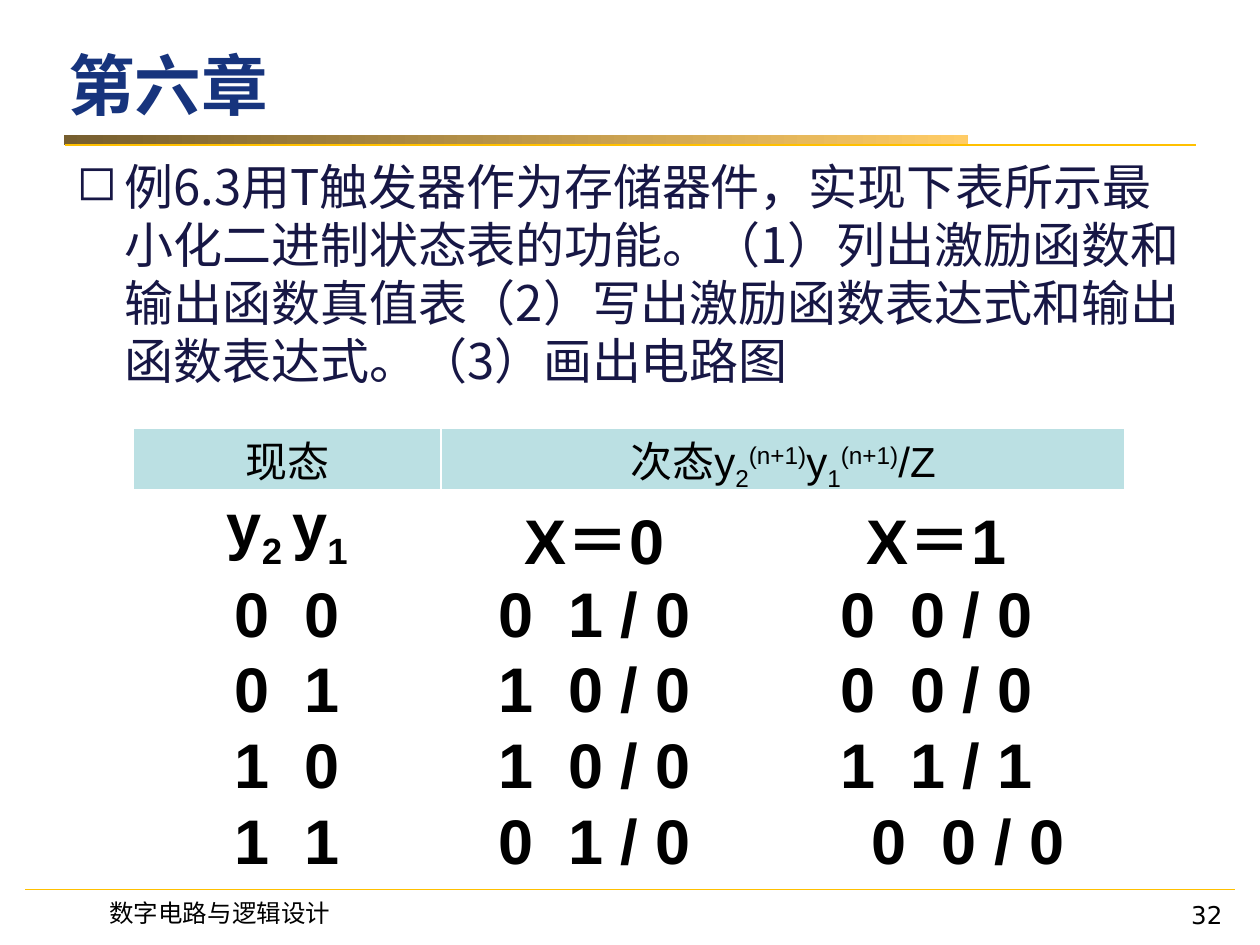
from lxml import etree
from pptx import Presentation
from pptx.dml.color import RGBColor
from pptx.enum.shapes import MSO_CONNECTOR, MSO_SHAPE
from pptx.enum.text import MSO_ANCHOR, PP_ALIGN
from pptx.oxml.ns import qn
from pptx.util import Inches, Pt

LEFT, CENTER, RIGHT = PP_ALIGN.LEFT, PP_ALIGN.CENTER, PP_ALIGN.RIGHT
TOP, MIDDLE = MSO_ANCHOR.TOP, MSO_ANCHOR.MIDDLE
STRAIGHT, RECTANGLE = MSO_CONNECTOR.STRAIGHT, MSO_SHAPE.RECTANGLE

COLORS = {"title": "17347D", "body": "171745", "black": "000000", "rule": "FFC000",
          "bar_dark": "765E2F", "bar_light": "FFCC66", "header": "BBE0E3", "border": "FFFFFF"}
CJK, SANS, ARIAL = "Noto Sans CJK SC", "DejaVu Sans", "Arial"

# Content
TITLE = "第六章"
EXERCISE = ("例6.3用T触发器作为存储器件，实现下表所示最小化二进制状态表的功能。"
            "（1）列出激励函数和输出函数真值表（2）写出激励函数表达式和输出函数表达式。"
            "（3）画出电路图")
FOOTER, PAGE = "数字电路与逻辑设计", "32"
SUB, SUP = -25, 30
# A cell is a plain string, or a list of (text, baseline shift in percent)
STATE_TABLE = [
    ["现态", [("次态y", 0), ("2", SUB), ("(n+1)", SUP), ("y", 0), ("1", SUB),
            ("(n+1)", SUP), ("/Z", 0)], ""],
    [[("y", 0), ("2 ", SUB), ("y", 0), ("1", SUB)], "X＝0", "X＝1"],
    ["0  0", "0  1 / 0", "0  0 / 0"],
    ["0  1", "1  0 / 0", "0  0 / 0"],
    ["1  0", "1  0 / 0", "1  1 / 1"],
    ["1  1", "0  1 / 0", "0  0 / 0"],
]
COLUMN_WIDTHS = [2.44, 2.44, 2.99]
ROW_HEIGHTS = [0.5] + [0.6] * 5
RULES = [(0.2, 9.8, 7.06), (0.52, 9.49, 1.15)]  # left, right, y


def rgb(key):
    return RGBColor.from_string(COLORS[key])


def add_run(paragraph, text, font, size, color, bold=False, shift=0):
    run = paragraph.add_run()
    run.text = text
    run.font.name, run.font.size, run.font.bold = font, Pt(size), bold
    run.font.color.rgb = rgb(color)
    properties = run._r.get_or_add_rPr()
    if font == CJK:
        etree.SubElement(properties, qn("a:ea")).set("typeface", font)
    if shift:
        properties.set("baseline", str(shift * 1000))


def add_text_box(left, top, width, height):
    frame = slide.shapes.add_textbox(*map(Inches, (left, top, width, height))).text_frame
    frame.word_wrap = True
    return frame


def set_borders(cell, widths):
    properties = cell._tc.get_or_add_tcPr()
    for side, width in zip("LRTB", widths):
        border = etree.SubElement(properties, qn(f"a:ln{side}"), w=str(Pt(width)))
        fill = etree.SubElement(border, qn("a:solidFill"))
        etree.SubElement(fill, qn("a:srgbClr"), val=COLORS["border"])


prs = Presentation()
prs.slide_width, prs.slide_height = Inches(10), Inches(7.5)
slide = prs.slides.add_slide(prs.slide_layouts[5])

# Rules and gradient bar
bar = slide.shapes.add_shape(RECTANGLE, Inches(0.51), Inches(1.07), Inches(7.17), Inches(0.08))
bar.shadow.inherit = False
bar.line.fill.background()
bar.fill.gradient()
bar.fill.gradient_angle = 0
for stop, position, key in zip(bar.fill.gradient_stops, (0, 1), ("bar_dark", "bar_light")):
    stop.position = position
    stop.color.rgb = rgb(key)
for left, right, y in RULES:
    rule = slide.shapes.add_connector(STRAIGHT, Inches(left), Inches(y), Inches(right), Inches(y))
    rule.line.color.rgb = rgb("rule")
    rule.line.width = Pt(0.75)
    etree.SubElement(rule._element.spPr, qn("a:effectLst"))

# Title
title = slide.shapes.title
title.left, title.top, title.width, title.height = map(Inches, (0.44, 0, 8.23, 1.33))
title.text_frame.vertical_anchor = MIDDLE
heading = title.text_frame.paragraphs[0]
heading.alignment = LEFT
add_run(heading, TITLE, CJK, 38, "title", bold=True)

# Exercise with a square bullet
exercise_frame = add_text_box(0.51, 1.15, 8.98, 2.1)
exercise_frame.margin_top = Inches(0.1)
exercise = exercise_frame.paragraphs[0]
exercise.line_spacing = Pt(33.2)
indent = Inches(0.38)
bullet_properties = exercise._p.get_or_add_pPr()
bullet_properties.set("marL", str(indent))
bullet_properties.set("indent", str(-indent))
etree.SubElement(bullet_properties, qn("a:buChar")).set("char", "◻")
add_run(exercise, EXERCISE, CJK, 28, "body")

# State table
table = slide.shapes.add_table(
    len(ROW_HEIGHTS), len(COLUMN_WIDTHS), Inches(1.06), Inches(3.4),
    Inches(sum(COLUMN_WIDTHS)), Inches(sum(ROW_HEIGHTS))).table
table.horz_banding = False
for column, width in zip(table.columns, COLUMN_WIDTHS):
    column.width = Inches(width)
for row, height in zip(table.rows, ROW_HEIGHTS):
    row.height = Inches(height)
table.cell(0, 1).merge(table.cell(0, 2))
last_row, last_column = len(ROW_HEIGHTS) - 1, len(COLUMN_WIDTHS) - 1
for r, values in enumerate(STATE_TABLE):
    is_header = r == 0
    for c, value in enumerate(values):
        cell = table.cell(r, c)
        set_borders(cell, (1, 1, 3 if r == 1 else 1, 3 if is_header else 1))
        if is_header:
            cell.fill.solid()
            cell.fill.fore_color.rgb = rgb("header")
        else:
            cell.fill.background()
        cell.margin_left = cell.margin_right = Inches(0.07)
        cell.margin_top = cell.margin_bottom = 0
        cell.vertical_anchor = TOP if is_header or (r, c) == (1, 0) else MIDDLE
        entry = cell.text_frame.paragraphs[0]
        entry.alignment = CENTER
        if (r, c) == (last_row, last_column):  # the last entry is indented, not centred
            entry.alignment = LEFT
            entry._p.get_or_add_pPr().set("marL", str(Inches(0.91)))
        pieces = [(value, 0)] if isinstance(value, str) else value
        for text, shift in pieces:
            if text:
                add_run(entry, text, ARIAL, 24 if is_header else 36, "black",
                        bold=not is_header, shift=shift)

# Footer and page number
add_run(add_text_box(0.77, 7.08, 2.3, 0.34).paragraphs[0], FOOTER, CJK, 14, "black")
page = add_text_box(7.47, 7.09, 2.33, 0.34).paragraphs[0]
page.alignment = RIGHT
add_run(page, PAGE, SANS, 14, "black")

prs.save("out.pptx")
